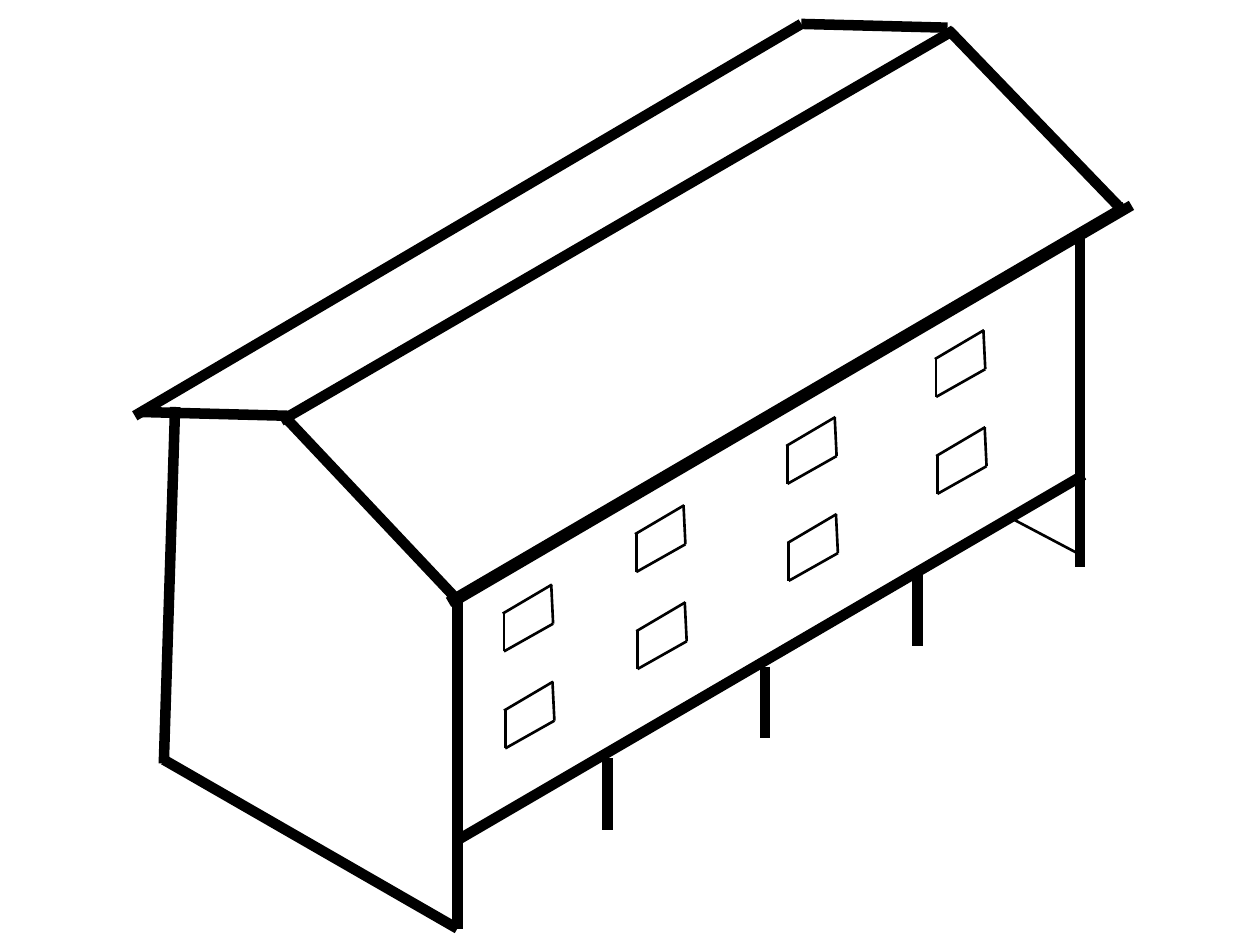
import pptx
import pptx.util
import pptx.dml.color
import pptx.enum.shapes
import pptx.oxml.ns
import lxml.etree

BLACK = pptx.dml.color.RGBColor(0, 0, 0)
THICK, THIN = 6, 1.5

# Each line is (x1, y1, x2, y2) in inches.
ROOF = [
    (6.36, 0.19, 1.07, 3.3),
    (7.57, 0.24, 2.23, 3.34),
    (8.93, 1.64, 3.56, 4.78),
    (2.29, 3.3, 1.12, 3.27),
    (7.52, 0.22, 6.36, 0.19),
    (2.29, 3.34, 3.61, 4.74),
    (7.53, 0.24, 8.89, 1.65),
    (8.98, 1.63, 3.61, 4.77),
]
WALLS = [
    (8.6, 3.77, 3.61, 6.68),
    (3.63, 7.37, 1.3, 6.03),
    (1.39, 3.23, 1.3, 6.06),
    (3.63, 4.74, 3.63, 7.37),
    (8.57, 1.87, 8.57, 4.5),
]
POSTS = [(4.82, 6.02), (6.07, 5.29), (7.28, 4.56)]
POST_HEIGHT = 0.57
BRACE = (8, 4.1, 8.55, 4.39)

# Top left corner of each upper window; the lower one is a fixed step away.
WINDOWS = [(3.99, 4.87), (5.04, 4.24), (6.24, 3.54), (7.42, 2.85)]
FLOOR_STEP = (0.01, 0.77)
PANE = [
    (0, 0, 0.39, -0.23),
    (0.01, 0.3, 0.01, -0.01),
    (0.4, 0.08, 0.385, -0.23),
    (0.01, 0.3, 0.4, 0.08),
]


def draw(shapes, ends, weight):
    line = shapes.add_connector(
        pptx.enum.shapes.MSO_CONNECTOR.STRAIGHT,
        *[pptx.util.Inches(end) for end in ends])
    line.line.color.rgb = BLACK
    line.line.width = pptx.util.Pt(weight)
    # An empty effect list removes the theme's shadow.
    lxml.etree.SubElement(line._element.spPr,
                          pptx.oxml.ns.qn("a:effectLst"))


def add_window(shapes, left, top):
    group = shapes.add_group_shape()
    for x1, y1, x2, y2 in PANE:
        draw(group.shapes, (left + x1, top + y1, left + x2, top + y2), THIN)


def main():
    deck = pptx.Presentation()
    deck.slide_width = pptx.util.Inches(10)
    deck.slide_height = pptx.util.Inches(7.5)
    shapes = deck.slides.add_slide(deck.slide_layouts[6]).shapes

    posts = [(x, y, x, y + POST_HEIGHT) for x, y in POSTS]
    for ends in ROOF + WALLS + posts:
        draw(shapes, ends, THICK)
    draw(shapes, BRACE, THIN)

    step_x, step_y = FLOOR_STEP
    for left, top in WINDOWS:
        for floor in range(2):
            add_window(shapes, left + floor * step_x, top + floor * step_y)

    deck.save("out.pptx")


if __name__ == "__main__":
    main()
